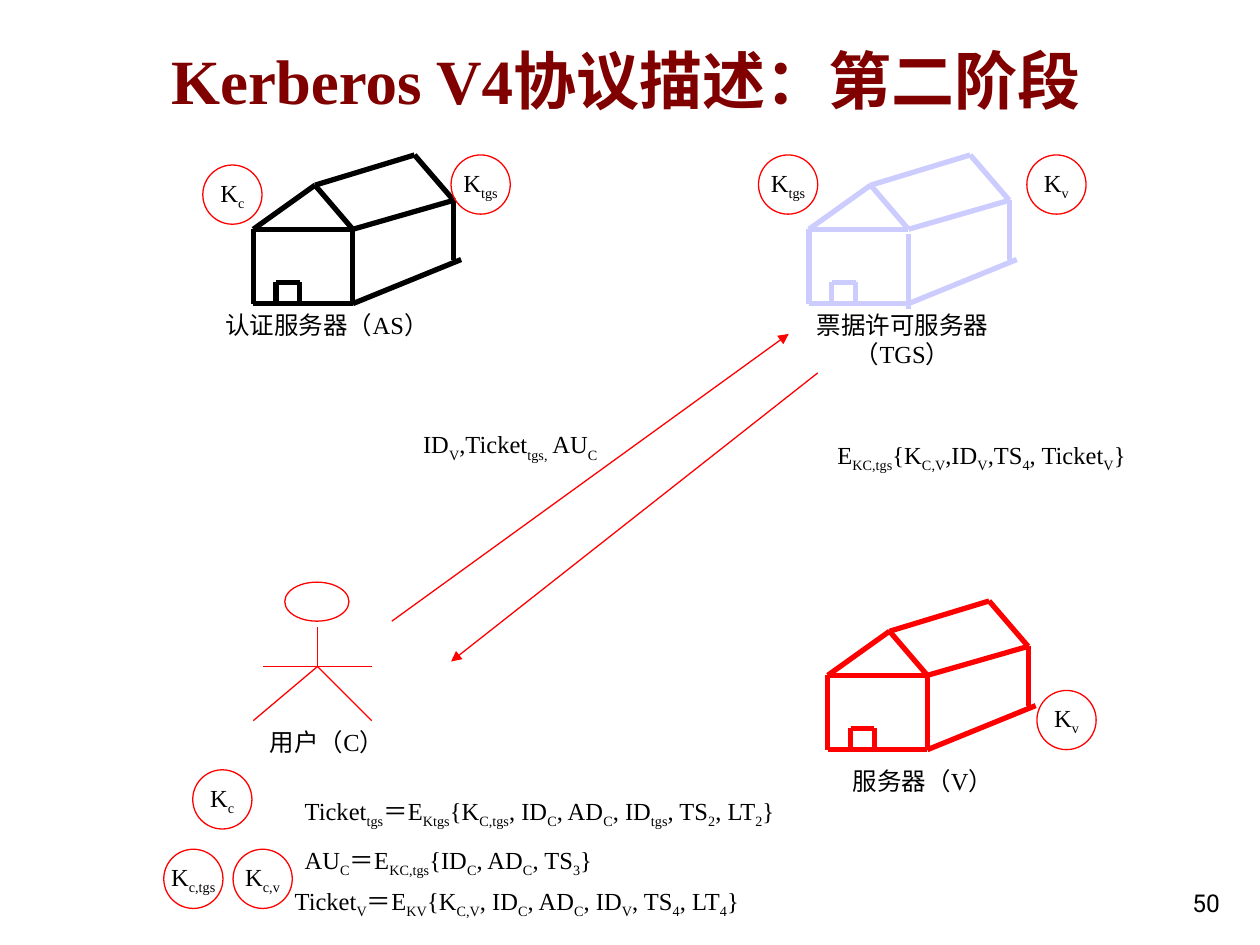
from lxml import etree
from pptx import Presentation, util as u
from pptx.dml.color import RGBColor
from pptx.enum import shapes, text
from pptx.oxml.ns import qn

deck = Presentation()
deck.slide_width, deck.slide_height = u.Inches(10), u.Inches(7.5)
page = deck.slides.add_slide(deck.slide_layouts[6])

# Grid of 100 columns by 75 rows
COLUMN = deck.slide_width / 100
ROW = deck.slide_height / 75
RED, BLACK, LILAC, MAROON = "FF0000", "000000", "CCCCFF", "800000"
tint = RGBColor.from_string
LEFT, CENTER, RIGHT = text.PP_ALIGN.LEFT, text.PP_ALIGN.CENTER, text.PP_ALIGN.RIGHT
TOP, MIDDLE, BOTTOM = text.MSO_ANCHOR.TOP, text.MSO_ANCHOR.MIDDLE, text.MSO_ANCHOR.BOTTOM


def write(words, column, row, columns, rows, size=14, face="Times New Roman", color=BLACK,
          bold=False, align=CENTER, anchor=TOP, circle=False):
    """Place text; every second part between bars is a subscript."""
    place = [round(n) for n in (column * COLUMN, row * ROW, columns * COLUMN, rows * ROW)]
    if circle:
        box = page.shapes.add_shape(shapes.MSO_SHAPE.OVAL, *place)
        box.shadow.inherit = False
        box.fill.background()
        box.line.color.rgb = tint(RED)
        box.line.width = u.Pt(0.75)
    else:
        box = page.shapes.add_textbox(*place)
    box.text_frame.word_wrap = not circle
    box.text_frame.vertical_anchor = anchor
    para = box.text_frame.paragraphs[0]
    para.alignment = align
    for index, part in enumerate(words.split("|")):
        if not part:
            continue
        span = para.add_run()
        span.text = part
        span.font.size, span.font.name, span.font.bold = u.Pt(size), face, bold
        span.font.color.rgb = tint(color)
        if index % 2:
            span.font._element.set("baseline", "-25000")


def stroke(parent, start, end, color=RED, width=0.75, arrow=False):
    """Draw a straight line between two grid points."""
    ends = [round(n) for x, y in (start, end) for n in (x * COLUMN, y * ROW)]
    line = parent.add_connector(shapes.MSO_CONNECTOR.STRAIGHT, *ends)
    line.line.color.rgb = tint(color)
    line.line.width = u.Pt(width)
    if arrow:
        etree.SubElement(line.line._get_or_add_ln(), qn("a:tailEnd"), type="triangle")
    etree.SubElement(line._element.spPr, qn("a:effectLst"))


# Title
write("Kerberos V4协议描述：第二阶段", 12.6, 2.3, 85.2, 8, size=36, color=MAROON,
      bold=True, align=LEFT, anchor=MIDDLE)

# Houses: shared corners, measured from the top left of each house
apex, ridge = (4.9, 2.4), (12.8, 0)
eave_left, eave_right, eave_back = (0, 5.9), (7.9, 5.9), (15.9, 3.6)
base_left, base_right, base_back = (0, 11.8), (7.9, 11.8), (15.9, 8.3)
door = [(1.8, 11.8), (1.8, 10.1), (3.7, 10.1), (3.7, 11.8)]
edges = [(apex, eave_left), (apex, eave_right), (eave_left, eave_right), (apex, ridge),
         (ridge, eave_back), (eave_right, eave_back), (eave_left, base_left),
         (base_left, base_right), (base_right, (16.5, 8.3)), (eave_back, base_back),
         *zip(door, door[1:])]
for column, row, color, drop in [(64.2, 12.3, LILAC, 0.4), (65.7, 47.7, RED, 0),
                                 (20.1, 12.3, BLACK, 0)]:
    house = page.shapes.add_group_shape()
    front_wall = [(x, y + drop) for x, y in (eave_right, base_right)]
    for start, end in edges + [front_wall]:
        stroke(house.shapes, (column + start[0], row + start[1]),
               (column + end[0], row + end[1]), color, 3)

# User figure
write("", 22.6, 46.2, 5.1, 3.1, circle=True)
hip = (25.2, 52.9)
for start, end in [((25.2, 49.8), hip), (hip, (20.1, 57.2)), (hip, (29.5, 57.2)),
                   ((20.9, 52.9), (29.5, 52.9))]:
    stroke(page.shapes, start, end)

# Names under the figures
for words, column, row in [("票据许可服务器（TGS）", 61.8, 24.1), ("服务器（V）", 63.4, 60.3),
                           ("认证服务器（AS）", 16.1, 24.1), ("用户（C）", 16.1, 57.2)]:
    write(words, column, row, 19.7, 3.4)

# Messages between the user and the ticket server
stroke(page.shapes, (31.1, 49.3), (62.6, 26.5), arrow=True)
write("ID|V|,Ticket|tgs,| AU|C|", 29.5, 33.6, 22, 3.7)
stroke(page.shapes, (64.9, 29.6), (35.8, 52.5), arrow=True)
write("E|KC,tgs|{K|C,V|,ID|V|,TS|4|, Ticket|V|}", 58.6, 34.4, 38.6, 3.7)

# Definitions
for words, column, row, columns in [
        ("Ticket|tgs|＝E|Ktgs|{K|C,tgs|, ID|C|, AD|C|, ID|tgs|, TS|2|, LT|2|}", 23.2, 62.7, 49.6),
        ("AU|C|＝E|KC,tgs|{ID|C|, AD|C|, TS|3|}", 23.2, 66.6, 30.7),
        ("Ticket|V|＝E|KV|{K|C,V|, ID|C|, AD|C|, ID|V|, TS|4|, LT|4|}", 22.4, 69.8, 43.3)]:
    write(words, column, row, columns, 3.7, align=LEFT)

# Keys
for owner, column, row in [("c", 15.3, 61.1), ("c", 16.1, 13.1), ("tgs", 60.2, 12.3),
                           ("v", 82.3, 54.8), ("tgs", 35.8, 12.3), ("v", 81.5, 12.3),
                           ("c,tgs", 13, 67.4), ("c,v", 18.5, 67.4)]:
    write(f"K|{owner}|", column, row, 4.7, 4.7, anchor=MIDDLE, circle=True)

# Page number
write("50", 77, 68.3, 20.8, 5, face="Roboto", align=RIGHT, anchor=BOTTOM)

deck.save("out.pptx")
